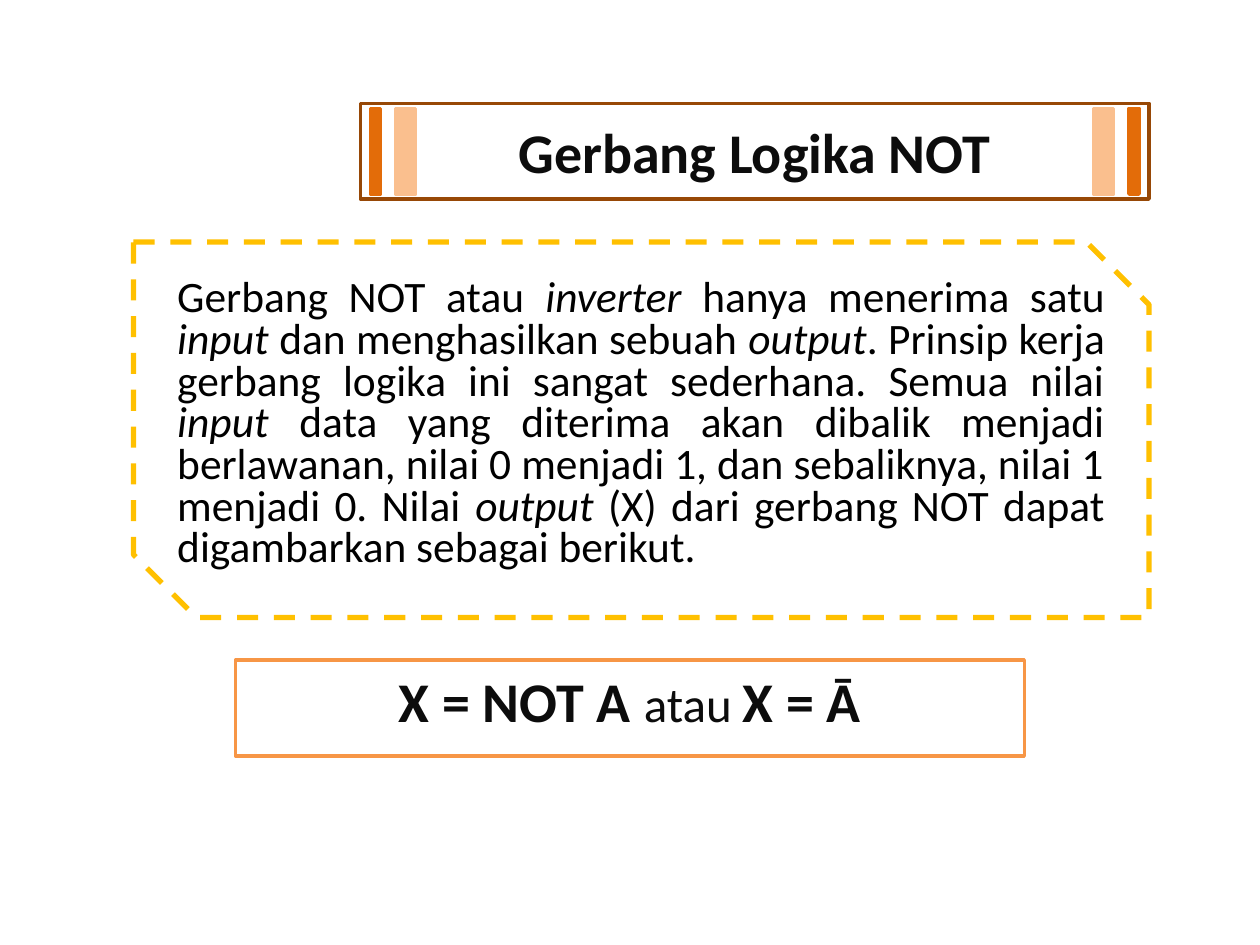
from dataclasses import dataclass

from pptx import Presentation
from pptx.dml.color import RGBColor
from pptx.enum.dml import MSO_LINE
from pptx.enum.shapes import MSO_SHAPE
from pptx.enum.text import MSO_ANCHOR, PP_ALIGN
from pptx.util import Inches, Pt

TITLE = [("Gerbang Logika NOT", "strong")]
EXPLANATION = [
    ("Gerbang NOT atau ", "plain"),
    ("inverter ", "term"),
    ("hanya menerima satu ", "plain"),
    ("input", "term"),
    (" dan menghasilkan sebuah ", "plain"),
    ("output", "term"),
    (". Prinsip kerja gerbang logika ini sangat sederhana. Semua nilai ", "plain"),
    ("input ", "term"),
    ("data yang diterima akan dibalik menjadi berlawanan, nilai 0 menjadi 1, "
     "dan sebaliknya, nilai 1 menjadi 0. Nilai ", "plain"),
    ("output", "term"),
    (" (X) dari gerbang NOT dapat digambarkan sebagai berikut.", "plain"),
]
FORMULA = [("X = NOT A ", "strong"), ("atau ", "joiner"), ("X = Ā", "strong")]


@dataclass(frozen=True)
class Theme:
    font: str = "Calibri"
    paper: str = "FFFFFF"
    body_ink: str = "000000"
    heading_ink: str = "0C0C0C"
    title_edge: str = "974806"
    formula_edge: str = "F79646"
    body_edge: str = "FFC000"
    dark_stripe: str = "E36C09"
    light_stripe: str = "FABF8E"
    strong_size: float = 32
    joiner_size: float = 28
    body_size: float = 24.8
    edge: float = 2
    dash_edge: float = 3


THEME = Theme()
STYLES = {
    "strong": (THEME.strong_size, True, False, THEME.heading_ink),
    "joiner": (THEME.joiner_size, False, False, THEME.heading_ink),
    "plain": (THEME.body_size, False, False, THEME.body_ink),
    "term": (THEME.body_size, False, True, THEME.body_ink),
}

WIDTH, HEIGHT = 10, 7.5
RIGHT = 9.12
BAR_WIDTH, BAR_HEIGHT = 6.26, 0.76
BODY_WIDTH, BODY_HEIGHT = 8.06, 2.98
TITLE_TOP, BODY_TOP, FORMULA_TOP = 0.82, 1.92, 5.24
TITLE_LEFT = RIGHT - BAR_WIDTH
STRIPE_MARGIN = 0.04
STRIPES = [(0.08, 0.08, THEME.dark_stripe), (0.28, 0.16, THEME.light_stripe)]


def add_box(slide, preset, left, top, width, height, fill, edge, edge_width=THEME.edge):
    box = slide.shapes.add_shape(
        preset, Inches(left), Inches(top), Inches(width), Inches(height))
    box.shadow.inherit = False
    if fill:
        box.fill.solid()
        box.fill.fore_color.rgb = RGBColor.from_string(fill)
    else:
        box.fill.background()
    box.line.color.rgb = RGBColor.from_string(edge)
    box.line.width = Pt(edge_width)
    return box


def write(box, content, alignment, anchor):
    box.text_frame.word_wrap = True
    box.text_frame.vertical_anchor = anchor
    paragraph = box.text_frame.paragraphs[0]
    paragraph.alignment = alignment
    paragraph.font.name = THEME.font
    for words, style in content:
        size, bold, italic, ink = STYLES[style]
        run = paragraph.add_run()
        run.text = words
        run.font.name = THEME.font
        run.font.size = Pt(size)
        run.font.bold = bold
        run.font.italic = italic
        run.font.color.rgb = RGBColor.from_string(ink)
    return paragraph


def main():
    deck = Presentation()
    deck.slide_width, deck.slide_height = Inches(WIDTH), Inches(HEIGHT)
    slide = deck.slides.add_slide(deck.slide_layouts[6])

    explanation = add_box(
        slide, MSO_SHAPE.SNIP_2_DIAG_RECTANGLE, RIGHT - BODY_WIDTH, BODY_TOP,
        BODY_WIDTH, BODY_HEIGHT, None, THEME.body_edge, THEME.dash_edge)
    explanation.adjustments[0] = 0
    explanation.adjustments[1] = 0.167
    explanation.line.dash_style = MSO_LINE.DASH
    write(explanation, EXPLANATION, PP_ALIGN.JUSTIFY, MSO_ANCHOR.TOP).line_spacing = 0.8

    formula = add_box(
        slide, MSO_SHAPE.RECTANGLE, (WIDTH - BAR_WIDTH) / 2, FORMULA_TOP,
        BAR_WIDTH, BAR_HEIGHT, THEME.paper, THEME.formula_edge)
    write(formula, FORMULA, PP_ALIGN.CENTER, MSO_ANCHOR.TOP)

    title = add_box(
        slide, MSO_SHAPE.RECTANGLE, TITLE_LEFT, TITLE_TOP,
        BAR_WIDTH, BAR_HEIGHT, THEME.paper, THEME.title_edge)
    write(title, TITLE, PP_ALIGN.CENTER, MSO_ANCHOR.MIDDLE)

    for inset, width, colour in STRIPES:
        for left in (TITLE_LEFT + inset, RIGHT - inset - width):
            add_box(slide, MSO_SHAPE.RECTANGLE, left, TITLE_TOP + STRIPE_MARGIN,
                    width, BAR_HEIGHT - 2 * STRIPE_MARGIN, colour, colour)

    deck.save("out.pptx")


if __name__ == "__main__":
    main()
